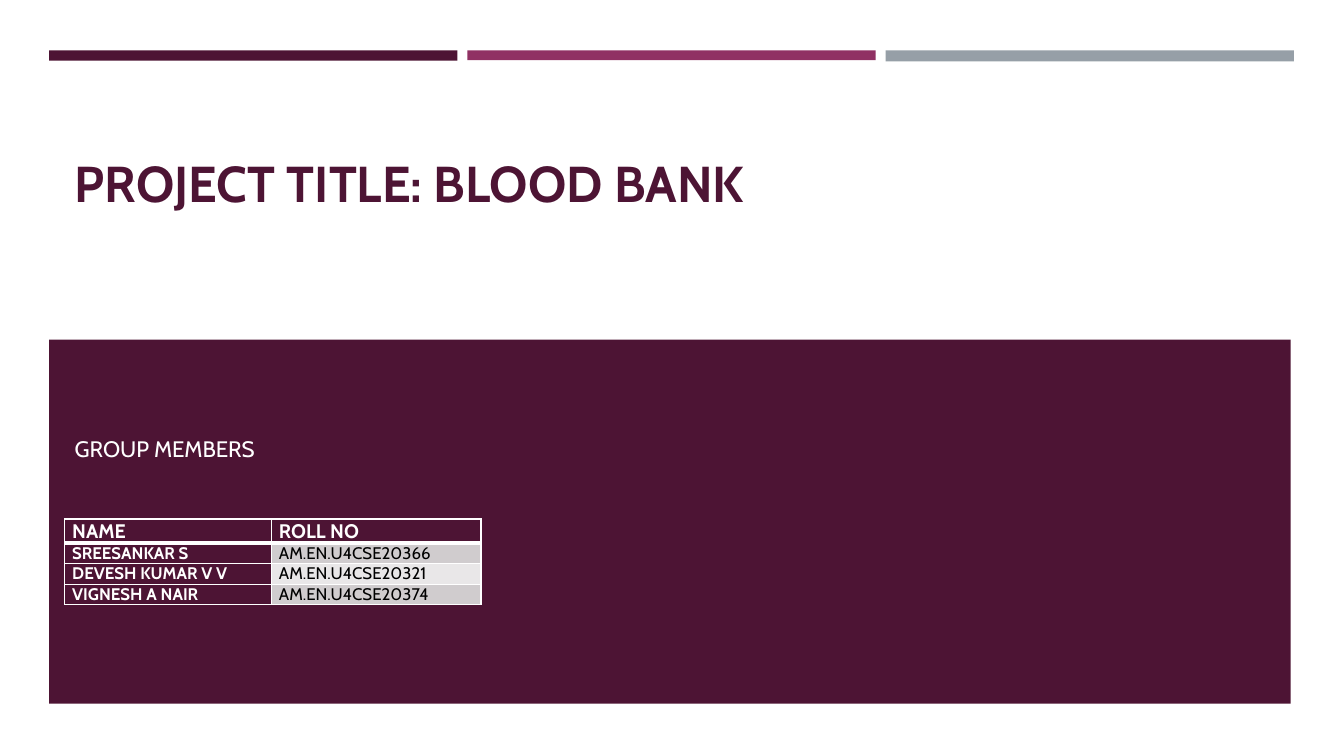
from dataclasses import dataclass

from lxml.etree import SubElement
from pptx import Presentation
from pptx.dml.color import RGBColor
from pptx.enum.shapes import MSO_SHAPE
from pptx.enum.text import MSO_ANCHOR, MSO_AUTO_SIZE, PP_ALIGN
from pptx.oxml.ns import qn
from pptx.util import Cm, Pt


@dataclass(frozen=True)
class Theme:
    font: str = "Cabin"
    plum: str = "4D1434"
    berry: str = "903163"
    grey: str = "969FA7"
    white: str = "FFFFFF"
    black: str = "000000"
    band_dark: str = "D0CCCE"
    band_light: str = "E9E7E8"
    title_size: int = 36
    subtitle_size: int = 16
    header_size: int = 14
    body_size: int = 12


@dataclass(frozen=True)
class Block:
    left: float
    top: float
    width: float
    height: float
    color: str


@dataclass(frozen=True)
class Member:
    name: str
    roll_no: str


THEME = Theme()
BAR_LEFT, BAR_PITCH, BAR_WIDTH = 1.24, 10.54, 10.29
BARS = [
    Block(BAR_LEFT + i * BAR_PITCH, 1.27, BAR_WIDTH, height, color)
    for i, (color, height) in enumerate(
        [(THEME.plum, 0.26), (THEME.berry, 0.25), (THEME.grey, 0.28)])
]
PANEL = Block(BAR_LEFT, 8.56, 31.29, 9.17, THEME.plum)
MEMBERS = [
    Member("SREESANKAR S", "AM.EN.U4CSE20366"),
    Member("DEVESH KUMAR V V", "AM.EN.U4CSE20321"),
    Member("VIGNESH A NAIR", "AM.EN.U4CSE20374"),
]


def add_block(s, block: Block) -> None:
    sp = s.shapes.add_shape(MSO_SHAPE.RECTANGLE, Cm(block.left), Cm(block.top),
                            Cm(block.width), Cm(block.height))
    sp.shadow.inherit = False
    sp.fill.solid()
    sp.fill.fore_color.rgb = RGBColor.from_string(block.color)
    sp.line.fill.background()


def write(tf, text: str, size: int, color: str, bold: bool = False) -> None:
    p = tf.paragraphs[0]
    p.alignment = PP_ALIGN.LEFT
    p.line_spacing = 1.0
    p.space_before = Pt(0)
    r = p.add_run()
    r.text = text
    r.font.name = THEME.font
    r.font.size = Pt(size)
    r.font.bold = bold
    r.font.color.rgb = RGBColor.from_string(color)


def set_borders(cell, bottom: float, top: float) -> None:
    tc_pr = cell._tc.get_or_add_tcPr()
    widths = {"a:lnL": 1, "a:lnR": 1, "a:lnT": top, "a:lnB": bottom}
    for i, (tag, width) in enumerate(widths.items()):
        ln = SubElement(tc_pr, qn(tag), w=str(Pt(width)))
        fill = SubElement(ln, qn("a:solidFill"))
        SubElement(fill, qn("a:srgbClr"), val=THEME.white)
        tc_pr.insert(i, ln)


def fill_cell(cell, text: str, size: int, color: str, fill: str, bold: bool,
              bottom: float = 1, top: float = 1) -> None:
    cell.margin_left = cell.margin_right = Cm(0.19)
    cell.margin_top = cell.margin_bottom = 0
    cell.fill.solid()
    cell.fill.fore_color.rgb = RGBColor.from_string(fill)
    set_borders(cell, bottom, top)
    write(cell.text_frame, text, size, color, bold)


def add_members(s, members: list[Member]) -> None:
    table = s.shapes.add_table(len(members) + 1, 2, Cm(1.63), Cm(13.08),
                               Cm(10.49), Cm(2.16)).table
    for column, width in zip(table.columns, (5.21, 5.28)):
        column.width = Cm(width)
    for i, row in enumerate(table.rows):
        row.height = Cm(0.52 if i else 0.6)

    for c, heading in enumerate(("NAME", "ROLL NO")):
        fill_cell(table.cell(0, c), heading, THEME.header_size, THEME.white,
                  THEME.plum, True, bottom=3)
    for i, member in enumerate(members, start=1):
        top = 3 if i == 1 else 1
        band = THEME.band_dark if i % 2 else THEME.band_light
        fill_cell(table.cell(i, 0), member.name, THEME.body_size, THEME.white,
                  THEME.plum, True, top=top)
        fill_cell(table.cell(i, 1), member.roll_no, THEME.body_size,
                  THEME.black, band, False, top=top)


def main() -> None:
    prs = Presentation()
    prs.slide_width, prs.slide_height = Cm(33.87), Cm(19.05)
    s = prs.slides.add_slide(prs.slide_layouts[5])

    # Top bars and lower panel
    for block in [*BARS, PANEL]:
        add_block(s, block)

    # Title
    title = s.shapes.title
    title.left, title.top = Cm(1.63), Cm(2.84)
    title.width, title.height = Cm(30.53), Cm(4.09)
    tf = title.text_frame
    tf.word_wrap = True
    tf.auto_size = MSO_AUTO_SIZE.NONE
    tf.vertical_anchor = MSO_ANCHOR.BOTTOM
    tf.margin_bottom = Cm(1.57)
    write(tf, "PROJECT TITLE: BLOOD BANK", THEME.title_size, THEME.plum, True)

    # Subtitle
    subtitle = s.shapes.add_textbox(Cm(1.63), Cm(10.85), Cm(30.53), Cm(1.65))
    subtitle.text_frame.word_wrap = True
    write(subtitle.text_frame, "GROUP MEMBERS", THEME.subtitle_size, THEME.white)

    # Group members
    add_members(s, MEMBERS)
    prs.save("out.pptx")


if __name__ == "__main__":
    main()
